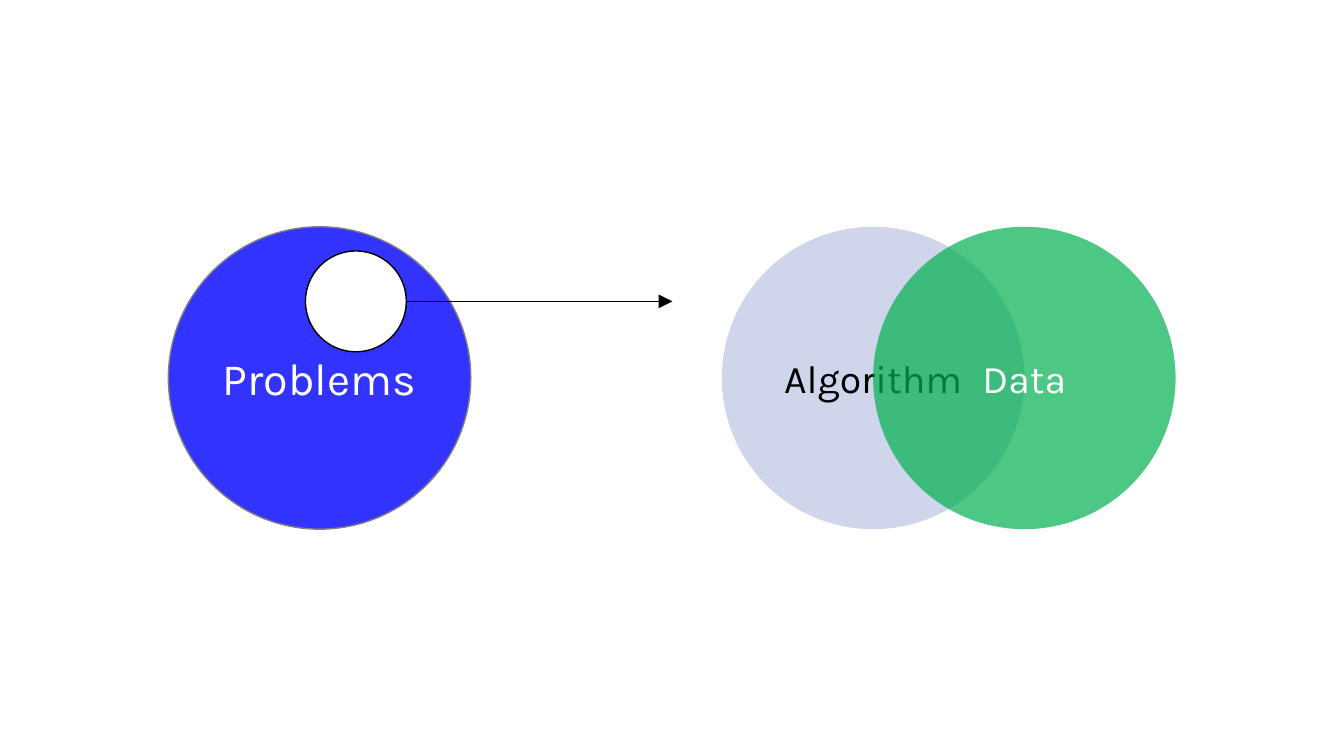
"""Build a slide linking one part of a problem space to algorithms and data."""
from lxml import etree
from pptx import Presentation
from pptx import util as u
from pptx.dml.color import RGBColor
from pptx.enum import shapes, text
from pptx.oxml.ns import qn

PX = 9144
BLUE = RGBColor(0x00, 0x00, 0xFF)
LAVENDER = RGBColor(0xCF, 0xD5, 0xEA)
GREEN = RGBColor(0x00, 0xB0, 0x50)
GRAY = RGBColor(0x80, 0x80, 0x80)
BLACK = RGBColor(0x00, 0x00, 0x00)
WHITE = RGBColor(0xFF, 0xFF, 0xFF)

prs = Presentation()
prs.slide_width, prs.slide_height = 1333 * PX, 750 * PX
s = prs.slides.add_slide(prs.slide_layouts[6])

BIG, SMALL = 300, 100
MARGIN = 10
hole_left, hole_top = 303, 249

circles = [
    ("Problems", 167, 225, BIG, BLUE, 80, GRAY, 32, WHITE, 0),
    ("Algorithm", 716, 225, BIG, LAVENDER, 100, None, 28, BLACK, MARGIN),
    ("Data", 716 + BIG // 2, 225, BIG, GREEN, 70, None, 28, WHITE, MARGIN),
    ("", hole_left, hole_top, SMALL, WHITE, 100, BLACK, 28, BLACK, MARGIN),
]
for label, left, top, size, fill, opacity, outline, points, ink, margin in circles:
    sp = s.shapes.add_shape(shapes.MSO_SHAPE.OVAL, left * PX, top * PX, size * PX, size * PX)
    sp.shadow.inherit = False
    sp.fill.solid()
    sp.fill.fore_color.rgb = fill
    if opacity < 100:
        color = sp.fill._xPr.find(qn("a:solidFill"))[0]
        etree.SubElement(color, qn("a:alpha"), val=str(opacity * 1000))
    if outline is None:
        sp.line.fill.background()
    else:
        sp.line.color.rgb = outline
        sp.line.width = u.Pt(1)
    if not label:
        continue
    tf = sp.text_frame
    frame = {"word_wrap": True, "vertical_anchor": text.MSO_ANCHOR.MIDDLE,
             "margin_left": margin * PX, "margin_right": margin * PX,
             "margin_top": margin // 2 * PX, "margin_bottom": margin // 2 * PX}
    for key, value in frame.items():
        setattr(tf, key, value)
    p = tf.paragraphs[0]
    p.alignment = text.PP_ALIGN.CENTER
    r = p.add_run()
    r.text = label
    for key, value in {"name": "Karla", "size": u.Pt(points)}.items():
        setattr(r.font, key, value)
    r.font.color.rgb = ink

arrow_y = hole_top + SMALL // 2
arrow = s.shapes.add_connector(shapes.MSO_CONNECTOR.STRAIGHT, (hole_left + SMALL) * PX,
                               arrow_y * PX, 667 * PX, arrow_y * PX)
arrow.line.color.rgb = BLACK
arrow.line.width = u.Pt(1)
etree.SubElement(arrow.line._get_or_add_ln(), qn("a:tailEnd"), type="triangle", w="lg", len="lg")
etree.SubElement(arrow._element.spPr, qn("a:effectLst"))

prs.save("out.pptx")
